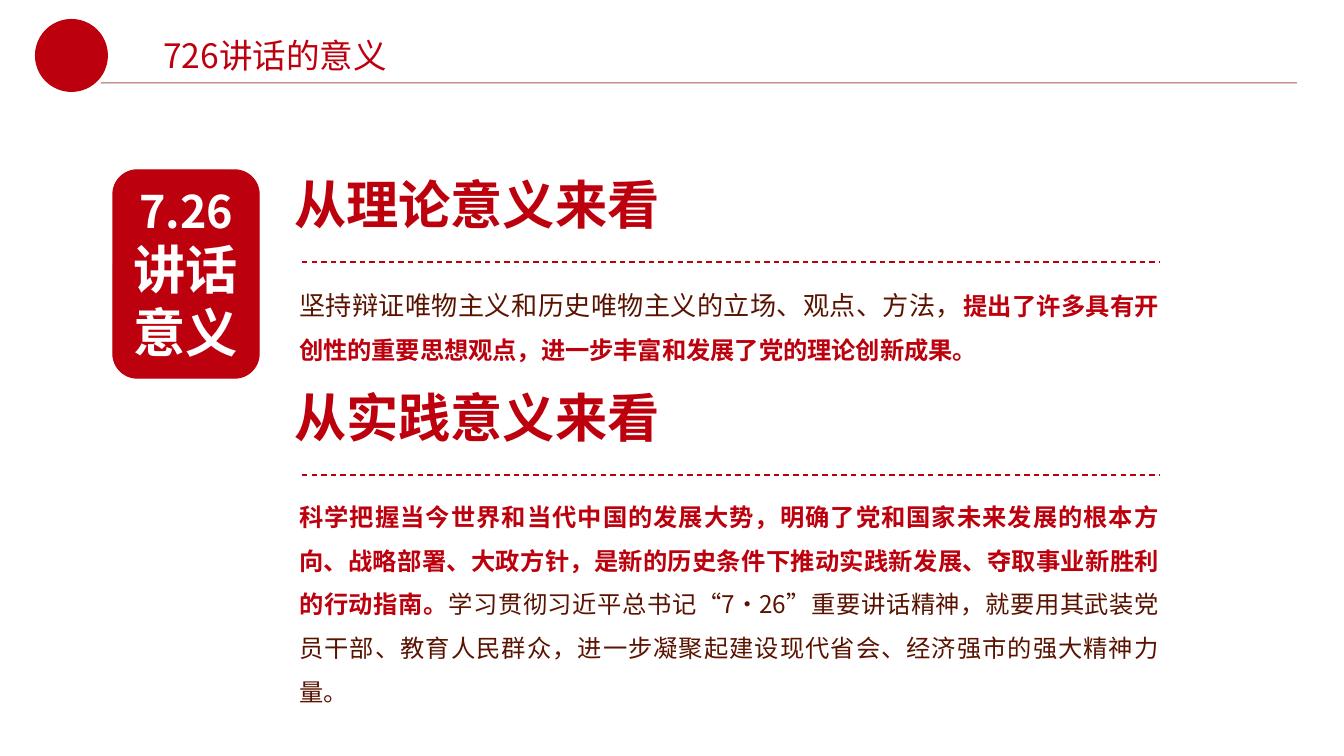
"""Builds the slide on the significance of the 7.26 speech."""
from lxml import etree
from pptx import Presentation
from pptx import util as u
from pptx.dml import color
from pptx.enum import dml, shapes, text
from pptx.oxml import ns

PX = 914400 / 134.4
FONT = "Noto Sans CJK SC"
RED, BROWN, WHITE = "BC000D", "591300", "FFFFFF"


def style(font, size, hex_color, bold=False):
    font.size = u.Pt(size)
    font.bold = bold
    font.color.rgb = color.RGBColor.from_string(hex_color)
    font.name = FONT
    etree.SubElement(font._rPr, ns.qn("a:ea"), typeface=FONT)


def add_line(left, right, y, hex_color, width):
    line = slide.shapes.add_connector(
        shapes.MSO_CONNECTOR.STRAIGHT, *[round(v * PX) for v in (left, y, right, y)])
    line.line.color.rgb = color.RGBColor.from_string(hex_color)
    line.line.width = u.Pt(width)
    etree.SubElement(line._element.spPr, ns.qn("a:effectLst"))
    return line


presentation = Presentation()
presentation.slide_width = round(1344 * PX)
presentation.slide_height = round(756 * PX)
slide = presentation.slides.add_slide(presentation.slide_layouts[6])

header_line = add_line(101, 1297, 83, "8E1F0C", 0.5)
line_color = header_line._element.spPr.find(".//" + ns.qn("a:srgbClr"))
etree.SubElement(line_color, ns.qn("a:alpha"), val="73000")

emblem = slide.shapes.add_shape(
    shapes.MSO_SHAPE.OVAL, *[round(v * PX) for v in (35, 19, 73, 73)])
emblem.shadow.inherit = False
emblem.fill.solid()
emblem.fill.fore_color.rgb = color.RGBColor.from_string(RED)
emblem.line.fill.background()

title = slide.shapes.add_textbox(*[round(v * PX) for v in (150, 28, 595, 74)])
title.text_frame.word_wrap = True
title.text_frame.text = "726讲话的意义"
style(title.text_frame.paragraphs[0].font, 18, RED)

badge = slide.shapes.add_shape(
    shapes.MSO_SHAPE.ROUNDED_RECTANGLE, *[round(v * PX) for v in (113, 170, 146, 208)])
badge.shadow.inherit = False
badge.fill.solid()
badge.fill.fore_color.rgb = color.RGBColor.from_string(RED)
badge.line.color.rgb = color.RGBColor.from_string(RED)
badge.line.width = u.Pt(0.75)
badge.text_frame.word_wrap = False
badge.text_frame.auto_size = text.MSO_AUTO_SIZE.SHAPE_TO_FIT_TEXT
badge.text_frame.vertical_anchor = text.MSO_ANCHOR.TOP
badge.text_frame.text = "7.26\n讲话\n意义"
for paragraph, size in zip(badge.text_frame.paragraphs, (24, 28, 28)):
    paragraph.alignment = text.PP_ALIGN.CENTER
    style(paragraph.font, size, WHITE, True)

sections = [
    ("从理论意义来看", 145, 262, 267, 99, [
        ("坚持辩证唯物主义和历史唯物主义的立场、观点、方法，", 14, BROWN, False),
        ("提出了许多具有开创性的重要思想观点，进一步丰富和发展了党的理论创新成果。", 13, RED, True),
    ]),
    ("从实践意义来看", 358, 475, 481, 190, [
        ("科学把握当今世界和当代中国的发展大势，明确了党和国家未来发展的根本方向、战略部署、"
         "大政方针，是新的历史条件下推动实践新发展、夺取事业新胜利的行动指南。", 13, RED, True),
        ("学习贯彻习近平总书记“7·26”重要讲话精神，就要用其武装党员干部、教育人民群众，"
         "进一步凝聚起建设现代省会、经济强市的强大精神力量。", 13, BROWN, False),
    ]),
]
for name, heading_top, line_y, body_top, body_height, passages in sections:
    heading = slide.shapes.add_shape(
        shapes.MSO_SHAPE.ROUNDED_RECTANGLE,
        *[round(v * PX) for v in (219, heading_top, 516, 117)])
    heading.shadow.inherit = False
    heading.fill.background()
    heading.line.fill.background()
    heading.text_frame.text = name
    heading.text_frame.vertical_anchor = text.MSO_ANCHOR.MIDDLE
    paragraph = heading.text_frame.paragraphs[0]
    paragraph.alignment = text.PP_ALIGN.CENTER
    style(paragraph.font, 28, RED, True)

    body = slide.shapes.add_textbox(
        *[round(v * PX) for v in (286, body_top, 886, body_height)])
    body.text_frame.word_wrap = True
    body.text_frame.auto_size = text.MSO_AUTO_SIZE.SHAPE_TO_FIT_TEXT
    paragraph = body.text_frame.paragraphs[0]
    paragraph.alignment = text.PP_ALIGN.JUSTIFY
    paragraph.line_spacing = 1.5
    paragraph._p.get_or_add_pPr().set("hangingPunct", "0")
    for passage, size, hex_color, bold in passages:
        run = paragraph.add_run()
        run.text = passage
        style(run.font, size, hex_color, bold)

    divider = add_line(302, 1160, line_y, RED, 0.75)
    divider.line.dash_style = dml.MSO_LINE.DASH

presentation.save("out.pptx")
